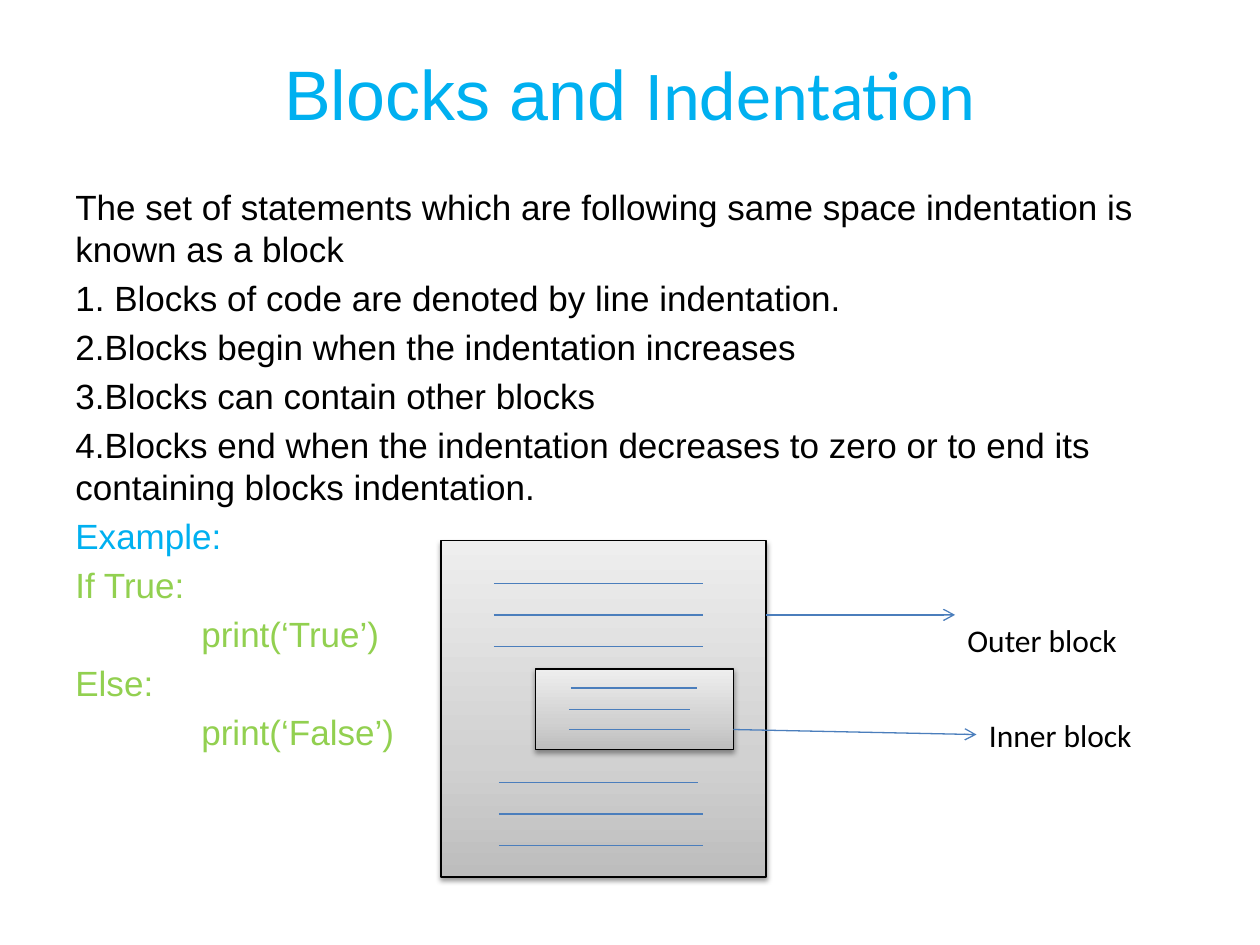
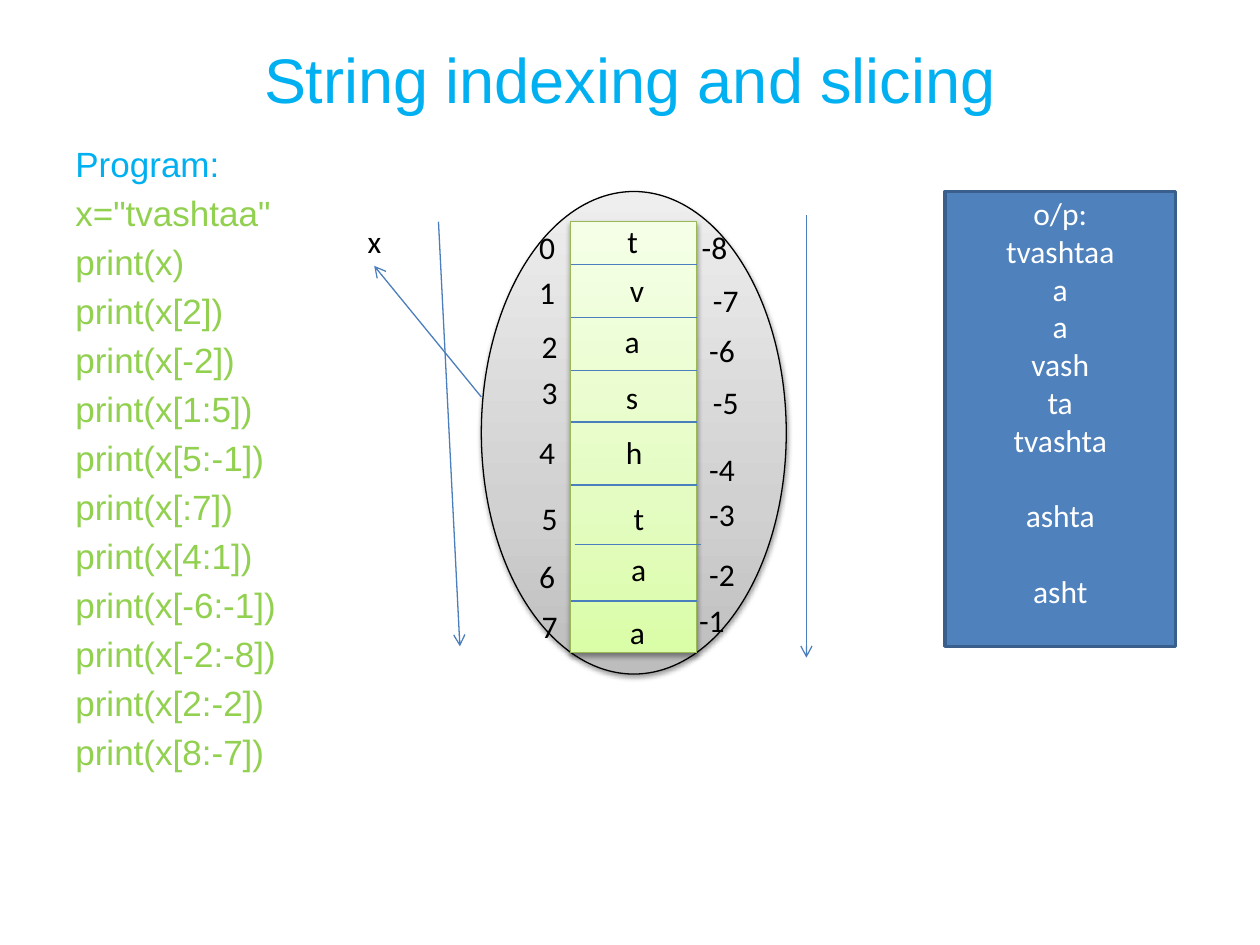
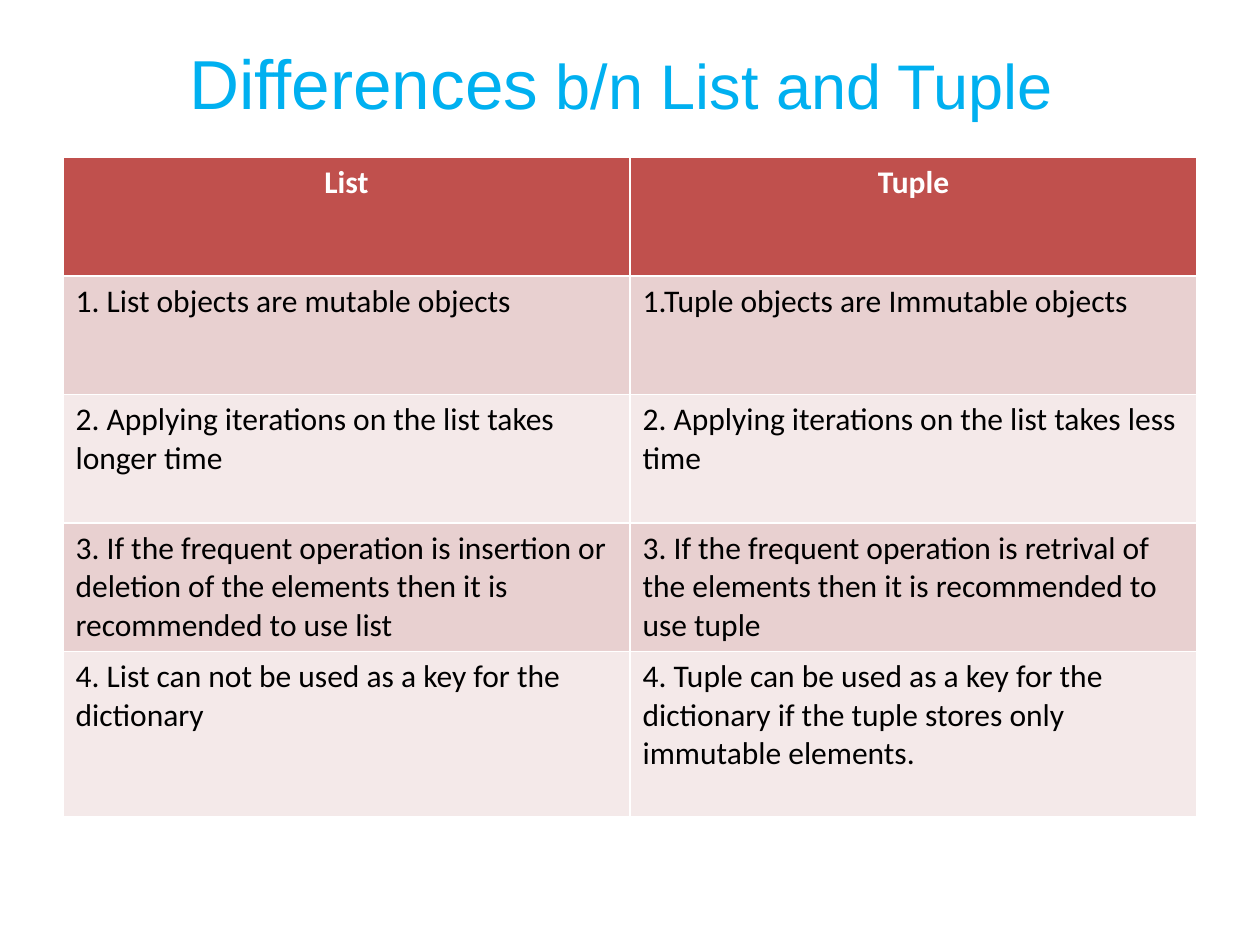
from copy import deepcopy
from dataclasses import dataclass
from typing import Optional

from lxml.etree import SubElement
from pptx import Presentation
from pptx.dml.color import RGBColor
from pptx.enum.shapes import MSO_CONNECTOR, MSO_SHAPE
from pptx.enum.text import MSO_ANCHOR, MSO_AUTO_SIZE, PP_ALIGN
from pptx.oxml.ns import qn
from pptx.shapes.autoshape import Shape
from pptx.slide import Slide
from pptx.text.text import Font
from pptx.util import Inches, Pt

SKY, GREEN, BLACK, WHITE = "00B0F0", "92D050", "000000", "FFFFFF"
RULE_BLUE, BOX_BLUE, BOX_EDGE = "4B7EBC", "4F81BD", "3A5F8C"
HEADER_RED, ROW_DARK, ROW_LIGHT = "C0504D", "E8D0D0", "F4E9E9"
LIME_EDGE = "98B955"
GRAY_FADE = ("BDBDBD", "D1D1D1", "EEEEEE")
LIME_FADE = ("DAFDA7", "E4FCC2", "F5FFE7")
FADE_STOPS = (0, 0.35, 1)
HEADING, PLAIN = "Arial", "Calibri"
MARGIN, CONTENT_WIDTH = 0.5, 9
LABEL_SIZE, LABEL_HEIGHT = 18, 0.4


@dataclass(frozen=True)
class Span:
    """A piece of a title with its own size and font."""
    text: str
    size: float
    font: str = HEADING


@dataclass(frozen=True)
class Statement:
    """One paragraph of body text."""
    text: str
    color: str = BLACK
    indent: float = 0


@dataclass(frozen=True)
class Label:
    """A short unwrapped text on a diagram."""
    text: str
    left: float
    top: float
    width: float


@dataclass(frozen=True)
class Stroke:
    """A straight line, with an arrowhead at its end if asked."""
    x1: float
    y1: float
    x2: float
    y2: float
    arrow: bool = False


@dataclass(frozen=True)
class Panel:
    """A shaded, shadowed shape of a diagram."""
    kind: MSO_SHAPE
    left: float
    top: float
    width: float
    height: float
    fade: tuple[str, ...] = GRAY_FADE
    edge: str = BLACK


def rgb(value: str) -> RGBColor:
    """Turn a hex string into a colour."""
    return RGBColor.from_string(value)


def style(font: Font, size: float, color: str, name: str = PLAIN, bold: bool = False) -> None:
    """Set the look of a font."""
    font.name, font.size, font.bold = name, Pt(size), bold
    font.color.rgb = rgb(color)


def add_title(slide: Slide, top: float, height: float, *spans: Span) -> None:
    """Draw the centred sky blue title."""
    box = slide.shapes.add_textbox(
        Inches(MARGIN), Inches(top), Inches(CONTENT_WIDTH), Inches(height))
    frame = box.text_frame
    frame.word_wrap = True
    frame.vertical_anchor = MSO_ANCHOR.MIDDLE
    line = frame.paragraphs[0]
    line.alignment = PP_ALIGN.CENTER
    for span in spans:
        run = line.add_run()
        run.text = span.text
        style(run.font, span.size, SKY, span.font)


def add_body(slide: Slide, top: float, height: float, statements: list[Statement]) -> None:
    """Draw the body text, one paragraph a statement."""
    box = slide.shapes.add_textbox(
        Inches(MARGIN), Inches(top), Inches(CONTENT_WIDTH), Inches(height))
    frame = box.text_frame
    frame.word_wrap = True
    frame.text = "\n".join(statement.text for statement in statements)
    for paragraph, statement in zip(frame.paragraphs, statements):
        paragraph.space_before = Pt(4)
        paragraph.line_spacing = Pt(24)
        if statement.indent:
            properties = paragraph._p.get_or_add_pPr()
            properties.set("marL", str(Inches(statement.indent)))
            properties.set("indent", "0")
        style(paragraph.runs[0].font, 20, statement.color, HEADING)


def add_label(slide: Slide, label: Label) -> None:
    """Draw a diagram label."""
    box = slide.shapes.add_textbox(
        Inches(label.left), Inches(label.top), Inches(label.width), Inches(LABEL_HEIGHT))
    frame = box.text_frame
    frame.text = label.text
    frame.word_wrap = False
    frame.auto_size = MSO_AUTO_SIZE.SHAPE_TO_FIT_TEXT
    style(frame.paragraphs[0].runs[0].font, LABEL_SIZE, BLACK)


def add_stroke(slide: Slide, stroke: Stroke) -> None:
    """Draw a thin blue line or arrow."""
    connector = slide.shapes.add_connector(
        MSO_CONNECTOR.STRAIGHT, Inches(stroke.x1), Inches(stroke.y1),
        Inches(stroke.x2), Inches(stroke.y2))
    connector.line.color.rgb = rgb(RULE_BLUE)
    connector.line.width = Pt(0.75)
    properties = connector._element.spPr
    if stroke.arrow:
        SubElement(properties.find(qn("a:ln")), qn("a:tailEnd"), type="arrow")
    SubElement(properties, qn("a:effectLst"))


def add_shadow(shape: Shape) -> None:
    """Give a shape a soft shadow straight below."""
    shape.shadow.inherit = False
    effects = shape._element.spPr.find(qn("a:effectLst"))
    shadow = SubElement(
        effects, qn("a:outerShdw"), blurRad=str(Pt(3.1)), dist=str(Pt(1.6)),
        dir="5400000", rotWithShape="0")
    color = SubElement(shadow, qn("a:srgbClr"), val=BLACK)
    SubElement(color, qn("a:alpha"), val="38000")


def add_panel(slide: Slide, panel: Panel) -> None:
    """Draw a panel that fades from its bottom to its top."""
    shape = slide.shapes.add_shape(
        panel.kind, Inches(panel.left), Inches(panel.top),
        Inches(panel.width), Inches(panel.height))
    shape.fill.gradient()
    shape.fill.gradient_angle = 90
    stops = shape._element.spPr.find(qn("a:gradFill")).find(qn("a:gsLst"))
    stops.append(deepcopy(stops[0]))
    for stop, position, color in zip(shape.fill.gradient_stops, FADE_STOPS, panel.fade):
        stop.position = position
        stop.color.rgb = rgb(color)
    shape.line.color.rgb = rgb(panel.edge)
    shape.line.width = Pt(0.75)
    add_shadow(shape)


def add_output(slide: Slide, groups: list[list[str]]) -> None:
    """Draw the program output, with one line left free between groups."""
    shape = slide.shapes.add_shape(
        MSO_SHAPE.RECTANGLE, Inches(7.5), Inches(1.52), Inches(1.83), Inches(3.61))
    shape.shadow.inherit = False
    shape.fill.solid()
    shape.fill.fore_color.rgb = rgb(BOX_BLUE)
    shape.line.color.rgb = rgb(BOX_EDGE)
    shape.line.width = Pt(2)
    frame = shape.text_frame
    frame.vertical_anchor = MSO_ANCHOR.TOP
    frame.margin_top = Inches(0.02)
    frame.text = "\n".join(line for group in groups for line in group)
    group_starts = [index == 0 for group in groups for index in range(len(group))]
    for number, (paragraph, starts) in enumerate(zip(frame.paragraphs, group_starts)):
        paragraph.alignment = PP_ALIGN.CENTER
        if starts and number:
            paragraph.space_before = Pt(21.6)
        style(paragraph.runs[0].font, LABEL_SIZE, WHITE)


def add_comparison(slide: Slide, rows: list[tuple[str, str]], heights: list[float]) -> None:
    """Draw the two column comparison with a red header."""
    table = slide.shapes.add_table(
        len(rows), 2, Inches(MARGIN), Inches(1.25),
        Inches(CONTENT_WIDTH), Inches(sum(heights))).table
    for number, (texts, height) in enumerate(zip(rows, heights)):
        table.rows[number].height = Inches(height)
        header = number == 0
        fill = HEADER_RED if header else ROW_DARK if number % 2 else ROW_LIGHT
        for column, text in enumerate(texts):
            cell = table.cell(number, column)
            cell.text = text
            cell.fill.solid()
            cell.fill.fore_color.rgb = rgb(fill)
            for paragraph in cell.text_frame.paragraphs:
                paragraph.alignment = PP_ALIGN.CENTER if header else PP_ALIGN.LEFT
                style(paragraph.runs[0].font, LABEL_SIZE, WHITE if header else BLACK, bold=header)


def draw_blocks(slide: Slide) -> None:
    """Build the slide on blocks and indentation."""
    add_title(slide, 0.3, 0.87, Span("Blocks and ", 40), Span("Indentation", 40, PLAIN))
    add_body(slide, 1.42, 5.83, [
        Statement("The set of statements which are following same space indentation "
                  "is known as a block"),
        Statement("1. Blocks of code are denoted by line indentation."),
        Statement("2.Blocks begin when the indentation increases"),
        Statement("3.Blocks can contain other blocks"),
        Statement("4.Blocks end when the indentation decreases to zero or to end its "
                  "containing blocks indentation."),
        Statement("Example:", SKY),
        Statement("If True:", GREEN),
        Statement("print(‘True’)", GREEN, 1),
        Statement("Else:", GREEN),
        Statement("print(‘False’)", GREEN, 1),
    ])
    add_panel(slide, Panel(MSO_SHAPE.RECTANGLE, 3.5, 4.29, 2.58, 2.67))
    add_panel(slide, Panel(MSO_SHAPE.RECTANGLE, 4.25, 5.31, 1.57, 0.64))
    code_lines = [
        (3.92, 5.58, 4.63), (3.92, 5.58, 4.88), (3.92, 5.58, 5.13),
        (4.53, 5.53, 5.46), (4.52, 5.48, 5.63), (4.52, 5.48, 5.79),
        (3.96, 5.54, 6.21), (3.96, 5.58, 6.46), (3.96, 5.58, 6.71),
    ]
    for start, end, y in code_lines:
        add_stroke(slide, Stroke(start, y, end, y))
    add_stroke(slide, Stroke(6.08, 4.88, 7.58, 4.88, arrow=True))
    add_stroke(slide, Stroke(5.82, 5.79, 7.75, 5.83, arrow=True))
    add_label(slide, Label("Outer block", 7.58, 4.88, 1.4))
    add_label(slide, Label("Inner block", 7.75, 5.63, 1.35))


def draw_slicing(slide: Slide) -> None:
    """Build the slide on string indexing and slicing."""
    add_title(slide, 0.25, 0.75, Span("String indexing and slicing", 36))
    arguments = ["x", "x[2]", "x[-2]", "x[1:5]", "x[5:-1]", "x[:7]", "x[4:1]",
                 "x[-6:-1]", "x[-2:-8]", "x[2:-2]", "x[8:-7]"]
    program = ['x="tvashtaa"'] + [f"print({argument})" for argument in arguments]
    add_body(slide, 1.08, 5.92,
             [Statement("Program:", SKY)] + [Statement(line, GREEN) for line in program])
    add_output(slide, [["o/p:", "tvashtaa", "a", "a", "vash", "ta", "tvashta"],
                       ["ashta"], ["asht"]])
    add_panel(slide, Panel(MSO_SHAPE.OVAL, 3.82, 1.52, 2.42, 3.83))
    add_panel(slide, Panel(MSO_SHAPE.RECTANGLE, 4.53, 1.76, 1, 3.42, LIME_FADE, LIME_EDGE))
    dividers = [(4.53, 2.1), (4.53, 2.52), (4.53, 2.94), (4.53, 3.35),
                (4.53, 3.85), (4.56, 4.32), (4.53, 4.77)]
    for left, y in dividers:
        add_stroke(slide, Stroke(left, y, left + 1, y))
    letters = [(4.88, 1.71), (4.9, 2.1), (4.86, 2.51), (4.87, 2.95),
               (4.87, 3.39), (4.93, 3.91), (4.91, 4.32), (4.9, 4.82)]
    letter_widths = {"t": 0.29, "v": 0.32, "a": 0.32, "s": 0.3, "h": 0.34}
    for letter, (left, top) in zip("tvashtaa", letters):
        add_label(slide, Label(letter, left, top, letter_widths[letter]))
    forward = [(4.18, 1.76), (4.18, 2.12), (4.2, 2.55), (4.2, 2.91),
               (4.18, 3.39), (4.2, 3.91), (4.18, 4.37), (4.2, 4.77)]
    for index, (left, top) in enumerate(forward):
        add_label(slide, Label(str(index), left, top, 0.33))
    backward = [(5.47, 1.76), (5.56, 2.18), (5.53, 2.58), (5.56, 2.99),
                (5.53, 3.52), (5.53, 3.88), (5.53, 4.36), (5.45, 4.72)]
    for index, (left, top) in enumerate(backward, start=-len(backward)):
        add_label(slide, Label(str(index), left, top, 0.41))
    add_label(slide, Label("x", 2.82, 1.71, 0.31))
    add_stroke(slide, Stroke(3.48, 1.76, 3.65, 5.13, arrow=True))
    add_stroke(slide, Stroke(6.4, 1.71, 6.4, 5.22, arrow=True))
    add_stroke(slide, Stroke(3.82, 3.15, 2.97, 2.11, arrow=True))


def draw_differences(slide: Slide) -> None:
    """Build the slide that compares list and tuple."""
    add_title(slide, 0.3, 0.7, Span("Differences", 39.6), Span(" b/n List and Tuple ", 36))
    add_comparison(slide, [
        ("List", "Tuple"),
        ("1. List objects are mutable objects", "1.Tuple objects are Immutable objects"),
        ("2. Applying iterations on the list takes longer time",
         "2. Applying iterations on the list takes less\ntime"),
        ("3. If the frequent operation is insertion or\n"
         "deletion of the elements then it is recommended to use list",
         "3. If the frequent operation is retrival of the elements then it is "
         "recommended to use tuple"),
        ("4. List can not be used as a key for the dictionary",
         "4. Tuple can be used as a key for the dictionary if the tuple stores only "
         "immutable elements."),
    ], [0.94, 0.94, 1.02, 1.02, 1.31])


def main() -> None:
    """Build and save the presentation."""
    deck = Presentation()
    deck.slide_width, deck.slide_height = Inches(10), Inches(7.5)
    blank = deck.slide_layouts[6]
    for draw in (draw_blocks, draw_slicing, draw_differences):
        draw(deck.slides.add_slide(blank))
    deck.save("out.pptx")


main()
